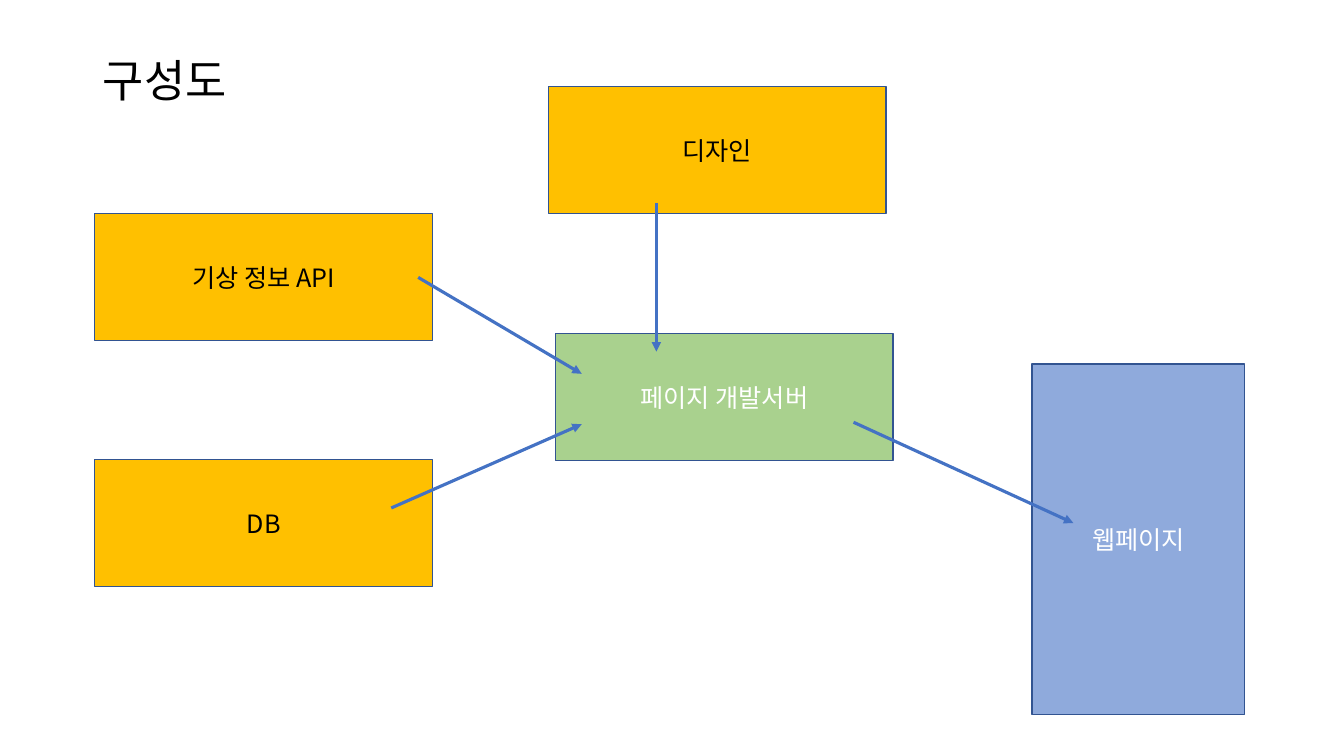
from lxml.etree import SubElement
from pptx import Presentation
from pptx.dml.color import RGBColor
from pptx.enum.shapes import MSO_CONNECTOR as Connector, MSO_SHAPE as Preset
from pptx.enum.text import MSO_ANCHOR as Anchor, MSO_AUTO_SIZE as AutoSize, PP_ALIGN as Align
from pptx.oxml.ns import qn
from pptx.util import Cm, Pt

FONT = "Noto Sans CJK KR"
BLACK, WHITE = "000000", "FFFFFF"
AMBER, GREEN, BLUE = "FFC000", "A9D18E", "8FAADC"
OUTLINE, ARROW = "325491", "4472C4"
BLOCK_SIZE = (8.51, 3.2)
LEFT_COLUMN = 2.39

BLOCKS = [
    ("웹페이지", (26.01, 9.17), (5.36, 8.84), BLUE, WHITE),
    ("기상 정보 API", (LEFT_COLUMN, 5.38), BLOCK_SIZE, AMBER, BLACK),
    ("디자인", (13.82, 2.18), BLOCK_SIZE, AMBER, BLACK),
    ("DB", (LEFT_COLUMN, 11.58), BLOCK_SIZE, AMBER, BLACK),
    ("페이지 개발서버", (14, 8.41), BLOCK_SIZE, GREEN, WHITE),
]
FLOWS = [
    ((16.54, 5.11), (16.54, 8.86)),
    ((10.54, 6.99), (14.66, 9.42)),
    ((9.86, 12.8), (14.66, 10.69)),
    ((21.51, 10.64), (27.05, 13.18)),
]


def color(hex_code):
    """Turn a hex string into a colour."""
    return RGBColor.from_string(hex_code)


def apply(target, formats):
    """Set each attribute named in the format dict."""
    for attribute, value in formats.items():
        setattr(target, attribute, value)


def write(frame, wording, size, ink, align, spacing=1.0):
    """Fill a text frame with one formatted paragraph."""
    apply(frame, {"word_wrap": True, "auto_size": AutoSize.NONE,
                  "vertical_anchor": Anchor.MIDDLE})
    paragraph = frame.paragraphs[0]
    apply(paragraph, {"alignment": align, "line_spacing": spacing})
    run = paragraph.add_run()
    run.text = wording
    run.font.color.rgb = color(ink)
    apply(run.font, {"size": Pt(size), "name": FONT, "bold": False})
    SubElement(run.font._element, qn("a:ea"), typeface=FONT)


def add_heading(slide, wording):
    """Place and fill the slide title."""
    heading = slide.shapes.title
    apply(heading, {"left": Cm(2.34), "top": Cm(1.17),
                    "width": Cm(29.21), "height": Cm(1.83)})
    write(heading.text_frame, wording, 32, BLACK, Align.LEFT, 0.9)


def add_block(slide, wording, corner, size, fill, ink):
    """Draw one labelled component of the system."""
    block = slide.shapes.add_shape(Preset.RECTANGLE, *map(Cm, corner + size))
    block.shadow.inherit = False
    block.fill.solid()
    block.fill.fore_color.rgb = color(fill)
    block.line.color.rgb = color(OUTLINE)
    block.line.width = Pt(1)
    write(block.text_frame, wording, 18, ink, Align.CENTER)


def add_flow(slide, start, end):
    """Draw an arrow from one component to the next."""
    flow = slide.shapes.add_connector(Connector.STRAIGHT, *map(Cm, start + end))
    flow.line.color.rgb = color(ARROW)
    flow.line.width = Pt(2.25)
    SubElement(flow.line._get_or_add_ln(), qn("a:tailEnd"), type="triangle")
    SubElement(flow._element.spPr, qn("a:effectLst"))


def main():
    """Build and save the architecture slide."""
    deck = Presentation()
    apply(deck, {"slide_width": Cm(33.87), "slide_height": Cm(19.05)})
    slide = deck.slides.add_slide(deck.slide_layouts[5])
    add_heading(slide, "구성도")
    for block in BLOCKS:
        add_block(slide, *block)
    for flow in FLOWS:
        add_flow(slide, *flow)
    deck.save("out.pptx")


main()
